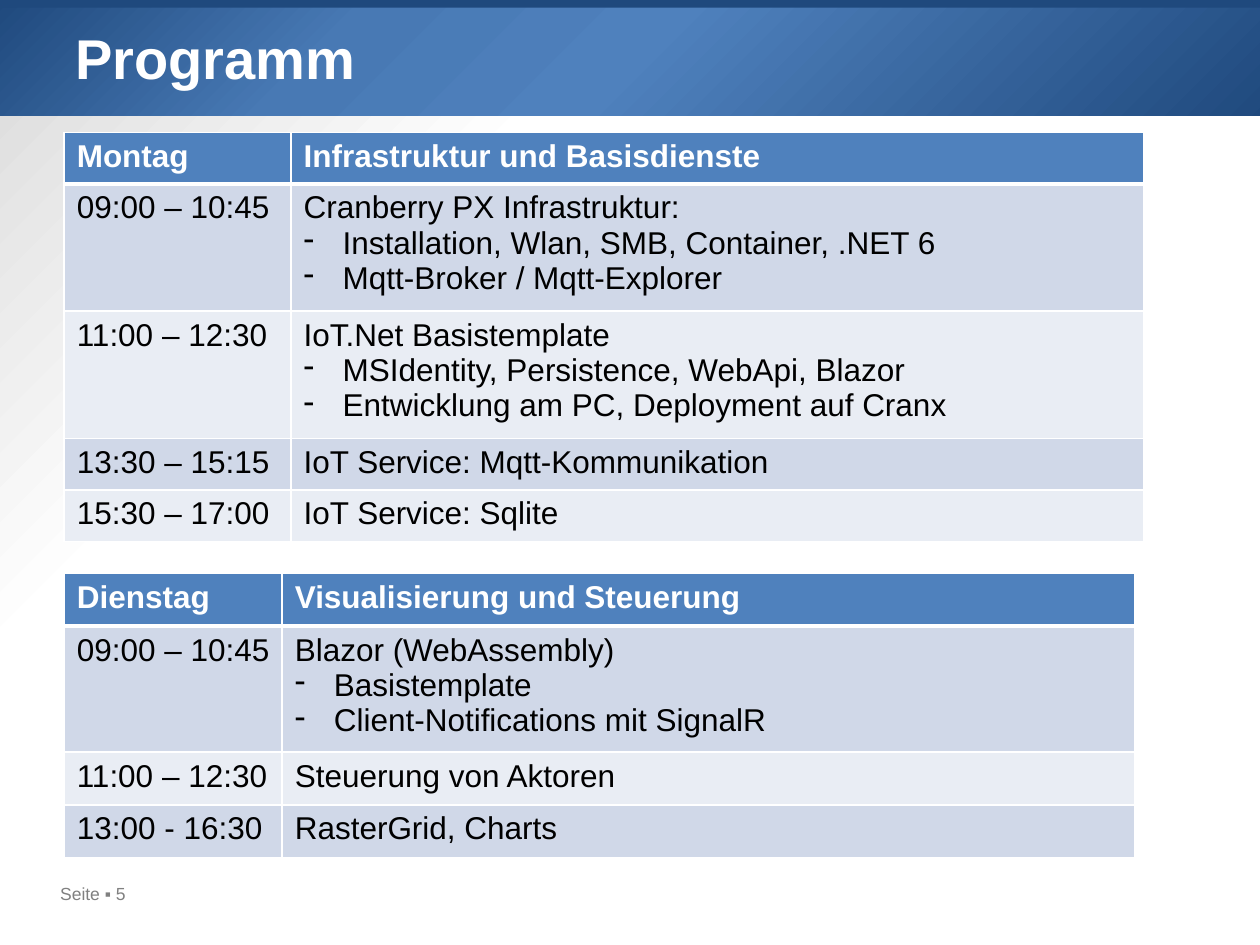
from dataclasses import dataclass

from lxml import etree
from pptx import Presentation
from pptx.dml.color import RGBColor
from pptx.enum.shapes import MSO_SHAPE
from pptx.enum.text import MSO_ANCHOR
from pptx.oxml import parse_xml
from pptx.oxml.ns import nsdecls, qn
from pptx.util import Inches, Pt

RECT = MSO_SHAPE.RECTANGLE
TOP, MIDDLE = MSO_ANCHOR.TOP, MSO_ANCHOR.MIDDLE


@dataclass(frozen=True)
class Theme:
    font: str = "Arial"
    navy: str = "1F497D"
    mid_blue: str = "4879B4"
    blue: str = "4F81BD"
    bands: tuple = ("D0D8E8", "E9EDF4")
    white: str = "FFFFFF"
    black: str = "000000"
    light_gray: str = "D9D9D9"
    gray: str = "808080"
    title: int = 32
    body: int = 18
    footer: int = 10


T = Theme()

MONDAY = [
    ("Montag", ["Infrastruktur und Basisdienste"]),
    ("09:00 – 10:45", ["Cranberry PX Infrastruktur:",
                       "Installation, Wlan, SMB, Container, .NET 6",
                       "Mqtt-Broker / Mqtt-Explorer"]),
    ("11:00 – 12:30", ["IoT.Net Basistemplate",
                       "MSIdentity, Persistence, WebApi, Blazor",
                       "Entwicklung am PC, Deployment auf Cranx"]),
    ("13:30 – 15:15", ["IoT Service: Mqtt-Kommunikation"]),
    ("15:30 – 17:00", ["IoT Service: Sqlite"]),
]
TUESDAY = [
    ("Dienstag", ["Visualisierung und Steuerung"]),
    ("09:00 – 10:45", ["Blazor (WebAssembly)", "Basistemplate",
                       "Client-Notifications mit SignalR"]),
    ("11:00 – 12:30", ["Steuerung von Aktoren"]),
    ("13:00 - 16:30", ["RasterGrid, Charts"]),
]


def write(p, text, size=T.body, color=T.black, bold=False, dash=False):
    r = p.add_run()
    r.text = text
    r.font.name, r.font.size, r.font.bold = T.font, Pt(size), bold
    r.font.color.rgb = RGBColor.from_string(color)
    if dash:
        pPr = p._p.get_or_add_pPr()
        pPr.set("marL", str(Inches(0.31)))
        pPr.set("indent", str(-Inches(0.31)))
        etree.SubElement(pPr, qn("a:buChar")).set("char", "-")


def text_box(s, box, text, anchor=TOP, **style):
    tf = s.shapes.add_textbox(*map(Inches, box)).text_frame
    tf.word_wrap = True
    tf.vertical_anchor = anchor
    write(tf.paragraphs[0], text, **style)


def radial_fill(fill, owner, stops, focus):
    """Turn the fill of owner into a radial gradient around focus."""
    fill.gradient()
    grad = owner.find(".//" + qn("a:gradFill"))
    stop_xml = "".join(
        f'<a:gs pos="{pos * 1000}"><a:srgbClr val="{color}"/></a:gs>'
        for pos, color in stops)
    edges = " ".join(f'{side}="{v * 1000}"' for side, v in zip("ltrb", focus))
    grad.getparent().replace(grad, parse_xml(
        f'<a:gradFill {nsdecls("a")} rotWithShape="1"><a:gsLst>{stop_xml}</a:gsLst>'
        f'<a:path path="circle"><a:fillToRect {edges}/></a:path></a:gradFill>'))


def bar(s, box):
    sp = s.shapes.add_shape(RECT, *map(Inches, box))
    sp.shadow.inherit = False
    sp.line.fill.background()
    sp.fill.solid()
    sp.fill.fore_color.rgb = RGBColor.from_string(T.navy)
    return sp


def background(s):
    radial_fill(s.background.fill, s._element,
                [(70, T.white), (100, T.light_gray)], (100, 100, 0, 0))


def header(s, x, y, w, title):
    band = bar(s, (x, y, w, 0.93))
    radial_fill(band.fill, band._element,
                [(0, T.navy), (27, T.mid_blue), (50, T.blue), (100, T.navy)],
                (0, 0, 100, 100))
    bar(s, (x, y - 0.02, w, 0.09))
    text_box(s, (x + 0.51, y + 0.15, 9, 1.25), title,
             size=T.title, color=T.white, bold=True)


def borders(cell, **widths):
    tcPr = cell._tc.get_or_add_tcPr()
    for i, (side, width) in enumerate(widths.items()):
        tcPr.insert(i, parse_xml(
            f'<a:ln{side} {nsdecls("a")} w="{Pt(width)}"><a:solidFill>'
            f'<a:srgbClr val="{T.white}"/></a:solidFill></a:ln{side}>'))


def schedule(s, x, y, col_widths, row_heights, rows):
    """Day plan: header row, then banded rows of time and topics."""
    table = s.shapes.add_table(
        len(rows), 2, Inches(x), Inches(y),
        Inches(sum(col_widths)), Inches(sum(row_heights))).table
    for col, width in zip(table.columns, col_widths):
        col.width = Inches(width)
    for i, (time, topics) in enumerate(rows):
        table.rows[i].height = Inches(row_heights[i])
        head = i == 0
        color = T.white if head else T.black
        for j, lines in enumerate(([time], topics)):
            cell = table.cell(i, j)
            cell.fill.solid()
            cell.fill.fore_color.rgb = RGBColor.from_string(
                T.blue if head else T.bands[(i - 1) % 2])
            borders(cell, L=1, R=1, T=3 if i == 1 else 1, B=3 if head else 1)
            tf = cell.text_frame
            for n, line in enumerate(lines):
                p = tf.add_paragraph() if n else tf.paragraphs[0]
                write(p, line, color=color, bold=head, dash=n > 0)


def footer(s, x, y):
    text_box(s, (x, y, 1.47, 0.27), "Seite ▪ 5", anchor=MIDDLE,
             size=T.footer, color=T.gray)


prs = Presentation()
prs.slide_width, prs.slide_height = Inches(10), Inches(7.5)
s = prs.slides.add_slide(prs.slide_layouts[6])

background(s)
header(s, -0.01, -0.01, 10.12, "Programm")
footer(s, 0.38, 6.96)
schedule(s, 0.51, 1.05, (1.8, 6.77), (0.41, 1.01, 1.01, 0.41, 0.41), MONDAY)
schedule(s, 0.51, 4.55, (1.73, 6.77), (0.42, 0.99, 0.42, 0.42), TUESDAY)

prs.save("out.pptx")
